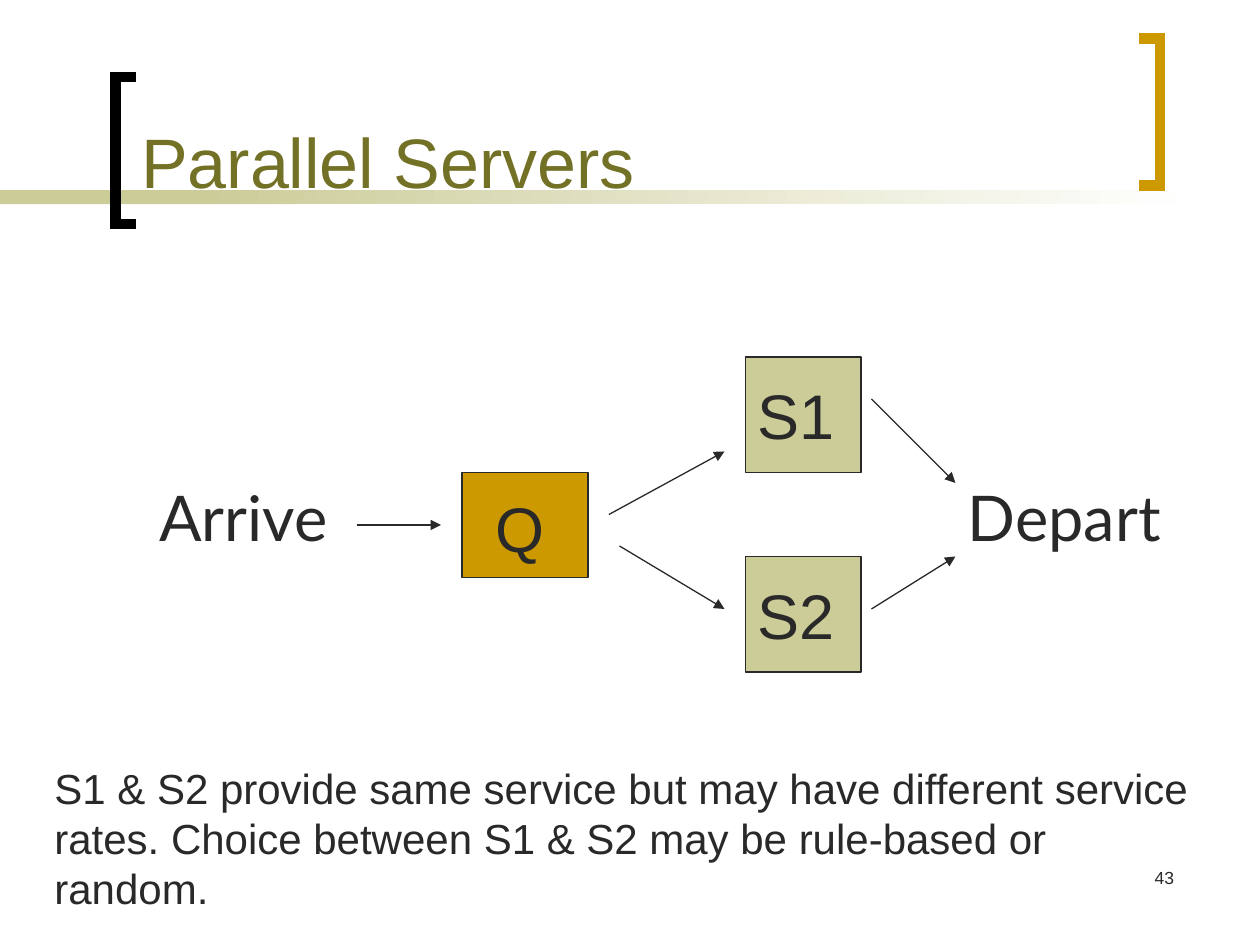
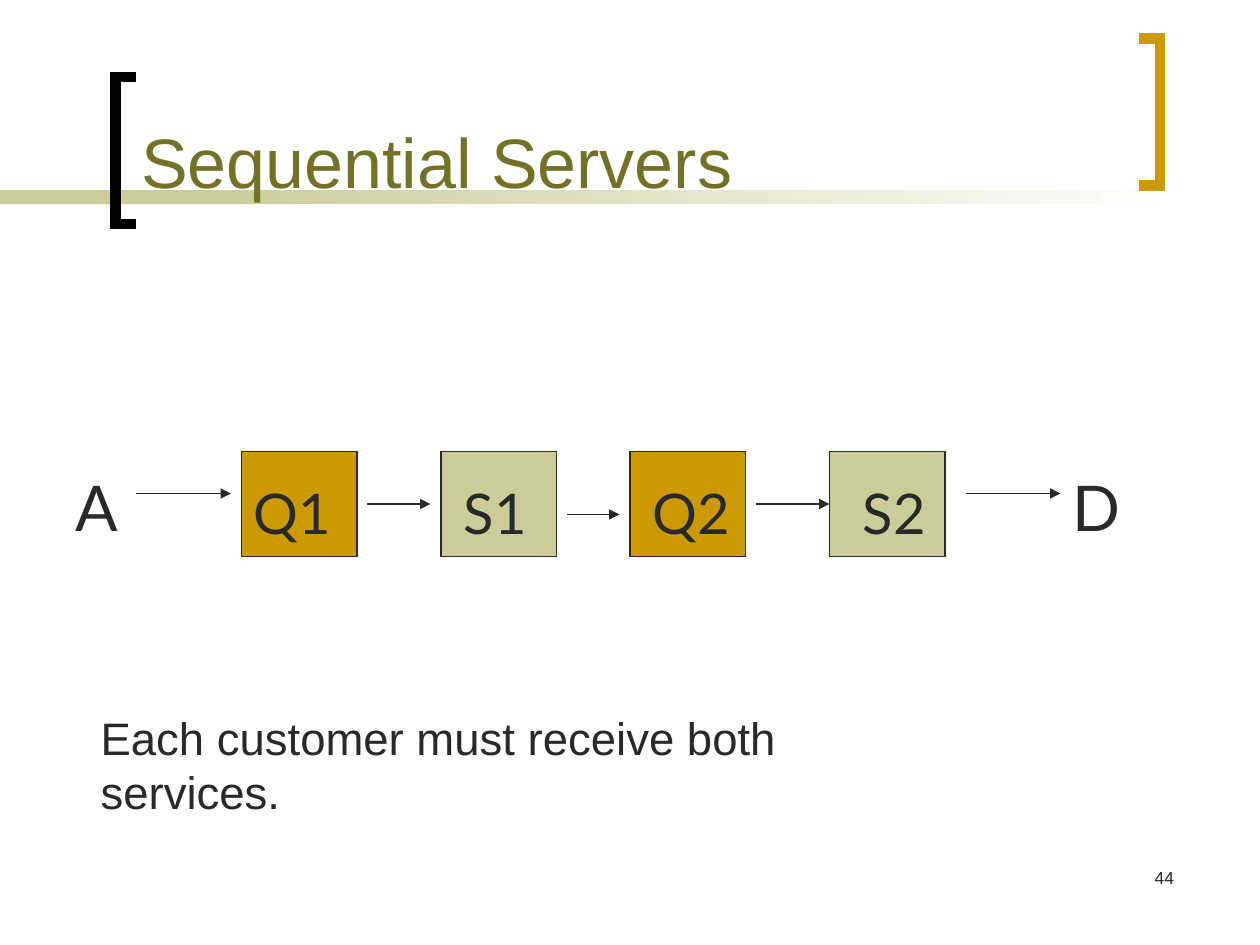
from lxml import etree
from pptx import Presentation
from pptx.dml.color import RGBColor
from pptx.enum.shapes import MSO_CONNECTOR, MSO_SHAPE
from pptx.enum.text import MSO_ANCHOR, MSO_AUTO_SIZE, PP_ALIGN
from pptx.oxml.ns import qn
from pptx.util import Pt

RECT = MSO_SHAPE.RECTANGLE
STRAIGHT = MSO_CONNECTOR.STRAIGHT
TOP, MIDDLE, BOTTOM = MSO_ANCHOR.TOP, MSO_ANCHOR.MIDDLE, MSO_ANCHOR.BOTTOM
LEFT, RIGHT = PP_ALIGN.LEFT, PP_ALIGN.RIGHT
FIXED, GROW = MSO_AUTO_SIZE.NONE, MSO_AUTO_SIZE.SHAPE_TO_FIT_TEXT
TITLE_ONLY = 5
LEFT_SIDE = 1

COLORS = {
    "ink": "292929",
    "title": "737125",
    "server": "CCCC99",
    "queue": "CC9900",
    "black": "000000",
    "white": "FFFFFF",
}
SANS, LABEL = "Arial", "Lato"
LABEL_SPACING = 0.625  # space before a label, as a share of its size


def rgb(name):
    return RGBColor.from_string(COLORS[name])


def pts(*values):
    return [Pt(v) for v in values]


class Deck:
    """Holds the presentation, its style and the current slide."""

    def __init__(self):
        self.prs = Presentation()
        self.prs.slide_width, self.prs.slide_height = pts(720, 540)
        self.s = None

    def slide(self, title, number):
        layout = self.prs.slide_layouts[TITLE_ONLY]
        self.s = self.prs.slides.add_slide(layout)
        self.band(0, 168)
        self.band(114, 570, fade=True)
        self.bracket(78, 66, 44, "black")
        self.bracket(651, 663, 22, "queue")
        self.text(528, 492, 150, 36, str(number), 10, align=RIGHT, auto_size=FIXED)
        self.title(title)

    def title(self, text):
        sp = self.s.shapes.title
        sp.left, sp.top, sp.width, sp.height = pts(73.5, 8, 564, 111.5)
        self.put_text(sp, text, 40, color="title", vertical_anchor=BOTTOM)
        sp.element.getparent().append(sp.element)  # in front of the bands

    def band(self, left, width, fade=False):
        sp = self.s.shapes.add_shape(RECT, *pts(left, 108.7, width, 8))
        sp.shadow.inherit = False
        sp.line.fill.background()
        if not fade:
            sp.fill.solid()
            sp.fill.fore_color.rgb = rgb("server")
            return
        sp.fill.gradient()
        sp.fill.gradient_angle = 0
        for stop, color, position in zip(
                sp.fill.gradient_stops, ("server", "white"), (0, 1)):
            stop.color.rgb = rgb(color)
            stop.position = position

    def bracket(self, tip, spine, top, color):
        """Draw a square bracket whose two tips point from spine to tip."""
        bottom = top + 84
        builder = self.s.shapes.build_freeform(*pts(tip, top), scale=1.0)
        corners = [(spine, top), (spine, bottom), (tip, bottom)]
        builder.add_line_segments([pts(*c) for c in corners], close=False)
        sp = builder.convert_to_shape()
        sp.shadow.inherit = False
        sp.fill.background()
        ln = self.outline(sp, color, 6)
        etree.SubElement(ln, qn("a:miter"), lim="800000")

    def outline(self, sp, color="ink", width=0.75):
        """Set the line of a shape and return its a:ln element."""
        sp.line.color.rgb = rgb(color)
        sp.line.width = Pt(width)
        return sp.element.spPr.find(qn("a:ln"))

    def box(self, left, top, width, height, color, text=None):
        sp = self.s.shapes.add_shape(RECT, *pts(left, top, width, height))
        sp.shadow.inherit = False
        sp.fill.solid()
        sp.fill.fore_color.rgb = rgb(color)
        self.outline(sp)
        if text:
            self.put_text(sp, text, 36, vertical_anchor=MIDDLE, word_wrap=False)
        return sp

    def text(self, left, top, width, height, text, size, font=SANS, **frame):
        sp = self.s.shapes.add_textbox(*pts(left, top, width, height))
        self.put_text(sp, text, size, font, **{"auto_size": GROW, **frame})

    def label(self, left, top, width, height, text, size=36):
        self.text(left, top, width, height, text, size, LABEL,
                  space_before=size * LABEL_SPACING)

    def put_text(self, sp, text, size, font=SANS, color="ink", align=LEFT,
                 space_before=0, **frame):
        """Fill a shape with one paragraph; frame holds text frame settings."""
        tf = sp.text_frame
        settings = {"word_wrap": True, "auto_size": FIXED,
                    "vertical_anchor": TOP, **frame}
        for name, value in settings.items():
            setattr(tf, name, value)
        p = tf.paragraphs[0]
        p.alignment = align
        p.space_before = Pt(space_before)
        r = p.add_run()
        r.text = text
        for name, value in {"name": font, "size": Pt(size)}.items():
            setattr(r.font, name, value)
        r.font.color.rgb = rgb(color)

    def arrow(self, x1, y1, x2, y2, target=None):
        """Draw an arrow, joined to the left side of target if given."""
        c = self.s.shapes.add_connector(STRAIGHT, *pts(x1, y1, x2, y2))
        if target is not None:
            c.end_connect(target, LEFT_SIDE)
        ln = self.outline(c)
        etree.SubElement(ln, qn("a:tailEnd"), type="triangle")
        etree.SubElement(c.element.spPr, qn("a:effectLst"))


def parallel_servers(deck):
    deck.slide("Parallel Servers", 43)
    for name, top in (("S1", 204), ("S2", 318)):
        deck.box(426, top, 66, 66, "server", name)
    deck.label(84, 270, 114, 93.6, "Arrive")
    deck.box(264, 270, 72, 60, "queue")
    deck.label(546, 270, 138, 50.4, "Depart")
    deck.text(276, 276, 42, 50.4, "Q", 36)
    for ends in ((204, 300, 252, 300),
                 (348, 294, 414, 258), (354, 312, 414, 348),
                 (498, 228, 546, 276), (498, 348, 546, 318)):
        deck.arrow(*ends)
    deck.text(24, 432, 672, 93.6,
              "S1 & S2 provide same service but may have different service "
              "rates. Choice between S1 & S2 may be rule-based or random.", 24)


def sequential_servers(deck):
    deck.slide("Sequential Servers", 44)
    stages = (("Q1", "queue", 138, 138, 66), ("S1", "server", 252, 258, 72),
              ("Q2", "queue", 360, 366, 84), ("S2", "server", 474, 486, 54))
    boxes = {name: deck.box(left, 258, 66, 60, color)
             for name, color, left, _, _ in stages}
    for name, _, _, left, width in stages:
        deck.label(left, 270, width, 46, name, 32)
    deck.label(36, 264, 60, 50.4, "A")
    deck.label(606, 264, 72, 50.4, "D")
    for x1, x2, y, target in ((78, 132, 282, None), (210, 246, 288, None),
                              (324, 354, 294, None), (432, 474, 288, "S2"),
                              (552, 606, 282, None)):
        deck.arrow(x1, y, x2, y, boxes.get(target))
    deck.text(50.4, 402, 510.5, 39, "Each customer must receive both services.",
              26, word_wrap=False)


def main():
    deck = Deck()
    parallel_servers(deck)
    sequential_servers(deck)
    deck.prs.save("out.pptx")


if __name__ == "__main__":
    main()
